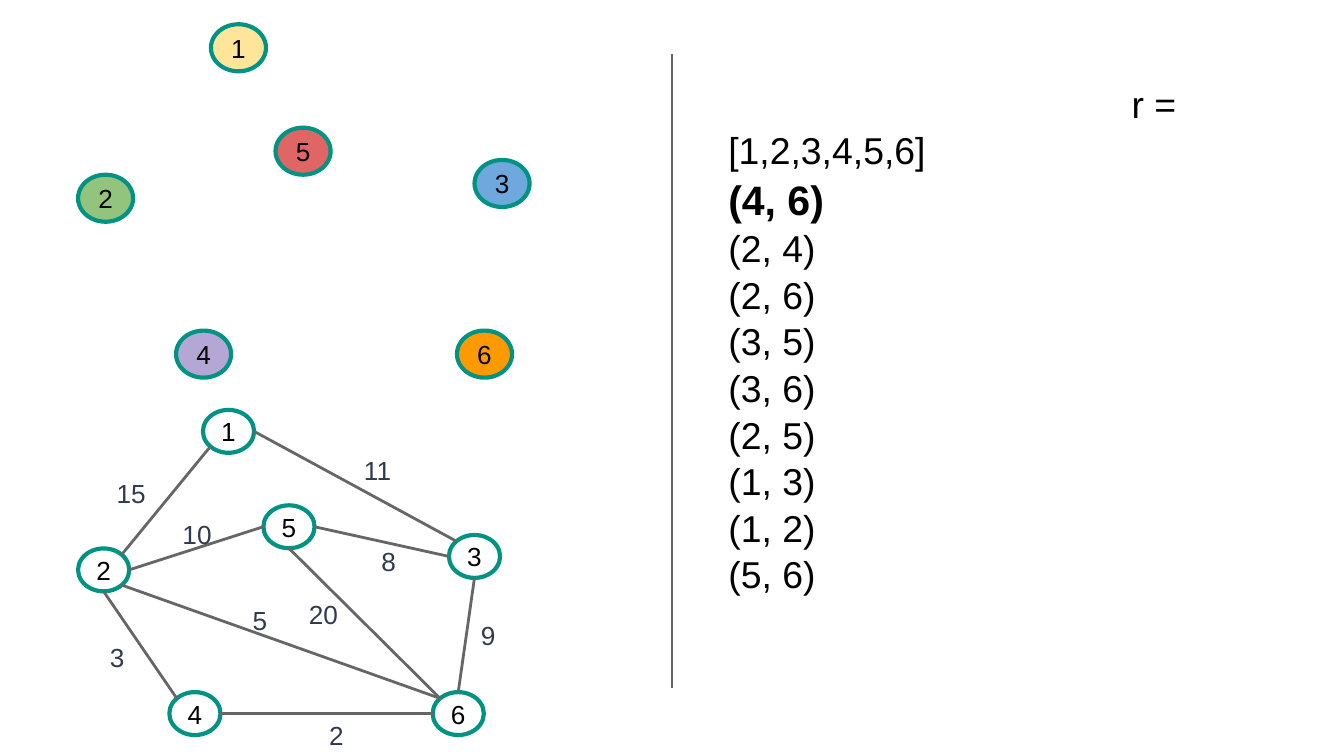
"""Builds a slide with a weighted graph, its unlinked vertices and its sorted edge list."""
from math import hypot

from lxml import etree
from pptx import Presentation
from pptx.dml.color import RGBColor
from pptx.enum.shapes import MSO_CONNECTOR, MSO_SHAPE
from pptx.enum.text import MSO_ANCHOR, MSO_AUTO_SIZE, PP_ALIGN
from pptx.oxml.ns import qn
from pptx.util import Pt

STRAIGHT = MSO_CONNECTOR.STRAIGHT
ELLIPSE = MSO_SHAPE.OVAL
TOP, MIDDLE = MSO_ANCHOR.TOP, MSO_ANCHOR.MIDDLE
LEFT, CENTER = PP_ALIGN.LEFT, PP_ALIGN.CENTER
NO_FIT = MSO_AUTO_SIZE.NONE

BLACK, GREY, TEAL, SLATE = "000000", "666666", "009384", "31394D"

FOREST_SIZE = (29.5, 25.2)
FOREST_NODES = [
    ("1", 113, 13, "FFE599"),
    ("2", 41.8, 93.6, "93C47D"),
    ("5", 147.6, 68.4, "E06666"),
    ("6", 244.8, 177.1, "FF9900"),
    ("4", 94.3, 177.1, "B4A7D6"),
    ("3", 254.2, 85.7, "6FA8DC"),
]
GRAPH_SIZE = (27.4, 23)
GRAPH_NODES = [
    ("1", 108.7, 219.6, None),
    ("2", 41.8, 293.8, None),
    ("5", 141.1, 270.7, None),
    ("6", 231.8, 370.8, None),
    ("4", 90.7, 370.8, None),
    ("3", 240.5, 286.6, None),
]
SIDES = {
    "n": (0, -1), "s": (0, 1), "w": (-1, 0), "e": (1, 0),
    "nw": (-1, -1), "ne": (1, -1), "sw": (-1, 1), "se": (1, 1),
}
EDGES = [
    ("1", "sw", "2", "ne", "15", 55.4, 248.4),
    ("1", "e", "3", "nw", "11", 187.9, 236.2),
    ("2", "e", "5", "w", "10", 90.7, 270.7),
    ("5", "e", "3", "w", "8", 197.3, 285.1),
    ("2", "s", "4", "nw", "3", 51.8, 336.2),
    ("2", "se", "6", "nw", "5", 128.2, 316.8),
    ("4", "e", "6", "w", "2", 169.2, 378),
    ("5", "s", "6", "nw", "20", 158.4, 313.2),
    ("3", "s", "6", "n", "9", 250.6, 324.7),
]
LABEL_SIZE = (33.1, 31.7)
DIVIDER = ((360, 28.8), (360, 368.6))
LIST_BOX = (383, 35.3, 307.4, 330.5)
FIRST_LINE_INDENT = 216
EDGE_LIST = [
    "r = [1,2,3,4,5,6]", "(4, 6)", "(2, 4)", "(2, 6)", "(3, 5)",
    "(3, 6)", "(2, 5)", "(1, 3)", "(1, 2)", "(5, 6)",
]
CURRENT_EDGE = "(4, 6)"


def color(value):
    return RGBColor.from_string(value)


def assign(target, values):
    for name, value in values.items():
        setattr(target, name, value)


def format_frame(frame, margin, anchor):
    assign(frame, {"word_wrap": True, "auto_size": NO_FIT, "vertical_anchor": anchor})
    assign(frame, {f"margin_{side}": Pt(margin) for side in ("left", "right", "top", "bottom")})


def write(paragraph, text, size, ink, alignment=LEFT, bold=False):
    paragraph.text = text
    paragraph.alignment = alignment
    assign(paragraph.font, {"name": "Arial", "size": Pt(size), "bold": bold})
    paragraph.font.color.rgb = color(ink)


def add_line(slide, start, end):
    line = slide.shapes.add_connector(STRAIGHT, *map(Pt, start + end))
    line.line.color.rgb = color(GREY)
    line.line.width = Pt(1.5)
    etree.SubElement(line._element.spPr, qn("a:effectLst"))


def add_nodes(slide, nodes, size):
    for name, left, top, fill in nodes:
        node = slide.shapes.add_shape(ELLIPSE, *map(Pt, (left, top) + size))
        node.shadow.inherit = False
        if fill:
            node.fill.solid()
            node.fill.fore_color.rgb = color(fill)
        else:
            node.fill.background()
        node.line.color.rgb = color(TEAL)
        node.line.width = Pt(2.25)
        format_frame(node.text_frame, 1.5, MIDDLE)
        write(node.text_frame.paragraphs[0], name, 14, BLACK, CENTER)


def rim_point(corner, side):
    direction = SIDES[side]
    length = hypot(*direction)
    return tuple(
        start + extent / 2 * (1 + step / length)
        for start, extent, step in zip(corner, GRAPH_SIZE, direction)
    )


def add_edges(slide):
    corners = {name: (left, top) for name, left, top, _ in GRAPH_NODES}
    for first, first_side, second, second_side, weight, left, top in EDGES:
        add_line(slide, rim_point(corners[first], first_side),
                 rim_point(corners[second], second_side))
        label = slide.shapes.add_textbox(*map(Pt, (left, top) + LABEL_SIZE))
        format_frame(label.text_frame, 7.2, TOP)
        write(label.text_frame.paragraphs[0], weight, 14, SLATE)


def fill_edge_list(body):
    assign(body, dict(zip(("left", "top", "width", "height"), map(Pt, LIST_BOX))))
    frame = body.text_frame
    format_frame(frame, 7.2, TOP)
    for index, text in enumerate(EDGE_LIST):
        paragraph = frame.add_paragraph() if index else frame.paragraphs[0]
        properties = paragraph._p.get_or_add_pPr()
        properties.set("marL", "0")
        properties.set("indent", str(0 if index else Pt(FIRST_LINE_INDENT)))
        etree.SubElement(properties, qn("a:buNone"))
        assign(paragraph, {"line_spacing": 1.04, "space_before": Pt(0), "space_after": Pt(0)})
        current = text == CURRENT_EDGE
        write(paragraph, text, 22 if current else 20, BLACK, bold=current)


def main():
    presentation = Presentation()
    assign(presentation, {"slide_width": Pt(720), "slide_height": Pt(405)})
    slide = presentation.slides.add_slide(presentation.slide_layouts[1])
    title = slide.shapes.title._element
    title.getparent().remove(title)
    fill_edge_list(slide.placeholders[1])
    add_line(slide, *DIVIDER)
    add_nodes(slide, GRAPH_NODES, GRAPH_SIZE)
    add_edges(slide)
    add_nodes(slide, FOREST_NODES, FOREST_SIZE)
    presentation.save("out.pptx")


if __name__ == "__main__":
    main()
